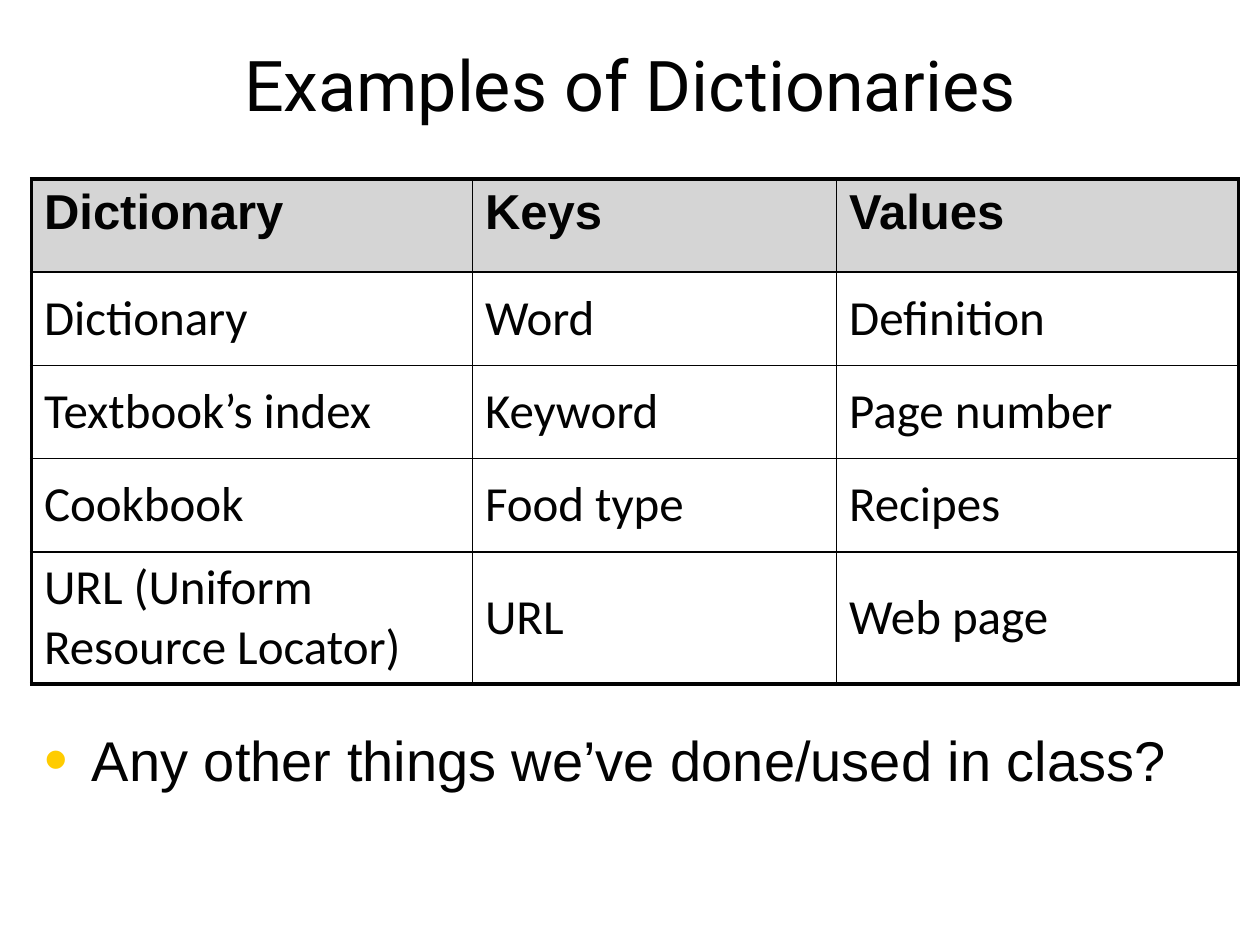
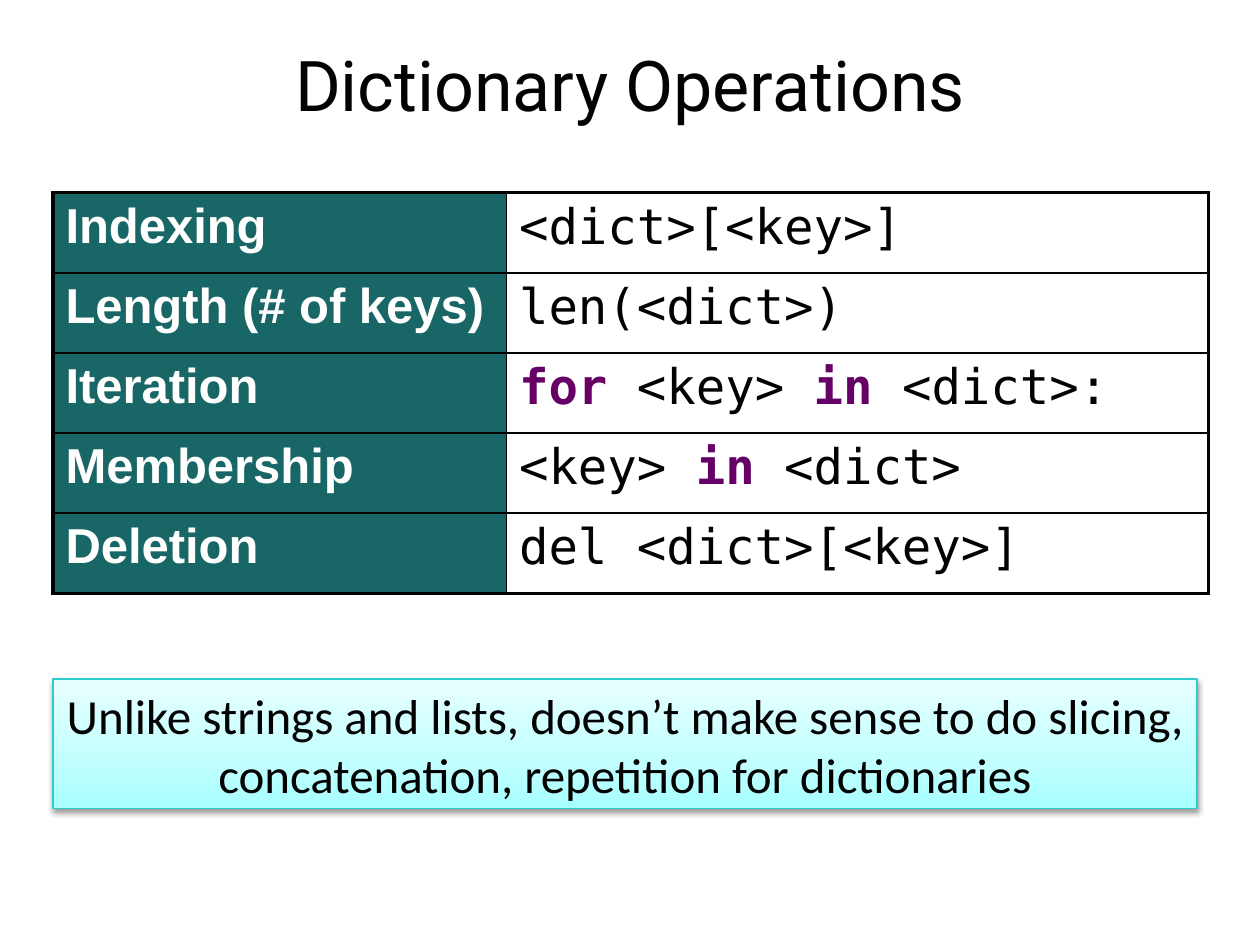
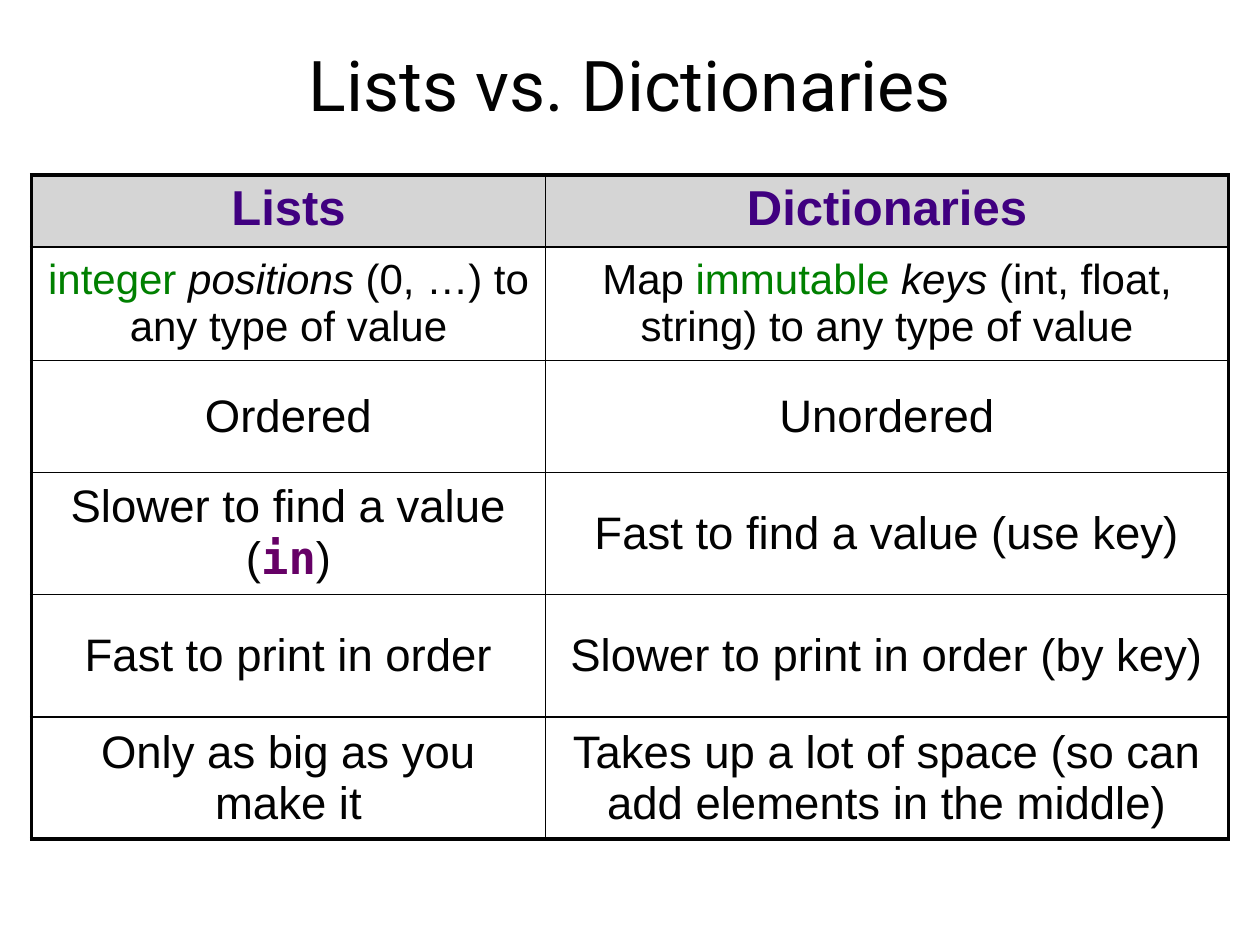
from lxml import etree
from pptx import Presentation
from pptx.dml.color import RGBColor
from pptx.enum.shapes import MSO_SHAPE
from pptx.enum.text import MSO_ANCHOR, MSO_AUTO_SIZE, PP_ALIGN
from pptx.oxml import parse_xml
from pptx.oxml.ns import nsdecls, qn
from pptx.util import Inches, Pt

TOP, MIDDLE = MSO_ANCHOR.TOP, MSO_ANCHOR.MIDDLE
LEFT, CENTER = PP_ALIGN.LEFT, PP_ALIGN.CENTER
RECTANGLE = MSO_SHAPE.RECTANGLE
NO_AUTOFIT = MSO_AUTO_SIZE.NONE

TITLE_AND_CONTENT, TITLE_ONLY = 1, 5
INK, WHITE, GRAY, TEAL = "020202", "FFFFFF", "D5D5D5", "196666"
PURPLE, INDIGO, GREEN, GOLD = "660066", "400080", "008000", "FFCC00"
SANS, HUMANIST, MONO, HEADING = "Arial", "Calibri", "DejaVu Sans Mono", "Roboto"
OUTER_LINE, INNER_LINE = 2.25, 1

STYLES = {
    "title": dict(name=HEADING, size=40, color=INK),
    "bullet": dict(name=SANS, size=32, color=INK),
    "header": dict(name=SANS, size=28, color=INK, bold=True),
    "entry": dict(name=HUMANIST, size=28, color=INK),
    "operation": dict(name=SANS, size=28, color=WHITE, bold=True),
    "code": dict(name=MONO, size=28, color=INK),
    "keyword": dict(name=MONO, size=28, color=PURPLE, bold=True),
    "versus": dict(name=SANS, size=28, color=INDIGO, bold=True),
    "mapping": dict(name=SANS, size=24, color=INK),
    "mapping key": dict(name=SANS, size=24, color=INK, italic=True),
    "mapping type": dict(name=SANS, size=24, color=GREEN),
    "trait": dict(name=SANS, size=26, color=INK),
    "trait keyword": dict(name=MONO, size=26, color=PURPLE, bold=True),
}


def rgb(value):
    """Turn a hex string into a colour."""
    return RGBColor.from_string(value)


class Deck:
    """Hold the presentation, its styles and the current slide."""

    def __init__(self):
        """Start an empty 10 by 7.5 inch presentation."""
        self.presentation = Presentation()
        self.presentation.slide_width = Inches(10)
        self.presentation.slide_height = Inches(7.5)
        self.slide = None

    def put_text(self, frame, content, style, align=LEFT):
        """Set a string, or (text, style) runs, as one paragraph."""
        paragraph = frame.paragraphs[0]
        paragraph.alignment = align
        runs = [(content, style)] if isinstance(content, str) else content
        for text, run_style in runs:
            run = paragraph.add_run()
            run.text = text
            looks = {"bold": False, "italic": False, **STYLES[run_style]}
            run.font.color.rgb = rgb(looks.pop("color"))
            looks["size"] = Pt(looks["size"])
            for attribute, value in looks.items():
                setattr(run.font, attribute, value)
        return paragraph

    def place(self, shape, left, top, width, height):
        """Move and size a placeholder."""
        box = dict(left=left, top=top, width=width, height=height)
        for attribute, value in box.items():
            setattr(shape, attribute, Inches(value))
        shape.text_frame.auto_size = NO_AUTOFIT

    def add_slide(self, title, layout=TITLE_ONLY):
        """Begin a white slide with a centred title."""
        layouts = self.presentation.slide_layouts
        self.slide = self.presentation.slides.add_slide(layouts[layout])
        heading = self.slide.shapes.title
        self.place(heading, 0.25, 0.08, 9.5, 1.17)
        heading.text_frame.vertical_anchor = MIDDLE
        self.put_text(heading.text_frame, title, "title", CENTER)

    def bullet(self, text, *box):
        """Put a gold-bulleted line in the body placeholder."""
        body = self.slide.placeholders[1]
        self.place(body, *box)
        line = self.put_text(body.text_frame, text, "bullet")
        line.space_before = Pt(0)
        properties = line._p.get_or_add_pPr()
        properties.set("marL", str(Inches(0.38)))
        properties.set("indent", str(Inches(-0.38)))
        color = etree.SubElement(properties, qn("a:buClr"))
        etree.SubElement(color, qn("a:srgbClr"), val=GOLD)
        etree.SubElement(properties, qn("a:buSzPct"), val="120000")
        etree.SubElement(properties, qn("a:buChar"), char="•")

    def border(self, cell, edges):
        """Draw the cell's borders: heavy on the table's edge, else thin."""
        properties = cell._tc.get_or_add_tcPr()
        for side, is_outer in edges.items():
            width = Pt(OUTER_LINE if is_outer else INNER_LINE)
            line = etree.SubElement(properties, qn("a:ln" + side), w=str(width))
            fill = etree.SubElement(line, qn("a:solidFill"))
            etree.SubElement(fill, qn("a:srgbClr"), val=INK)

    def table(self, left, top, widths, heights, rows, look):
        """Add a table; look(row, column) gives style, fill, anchor, align."""
        frame = self.slide.shapes.add_table(
            len(rows), len(widths), Inches(left), Inches(top),
            Inches(sum(widths)), Inches(sum(heights)))
        grid = frame.table
        grid.first_row = grid.horz_banding = False
        for column, width in zip(grid.columns, widths):
            column.width = Inches(width)
        for row, height in zip(grid.rows, heights):
            row.height = Inches(height)
        for r, contents in enumerate(rows):
            for c, content in enumerate(contents):
                cell = grid.cell(r, c)
                style, fill, anchor, align = look(r, c)
                self.border(cell, {"L": c == 0, "R": c == len(widths) - 1,
                                   "T": r == 0, "B": r == len(rows) - 1})
                if fill:
                    cell.fill.solid()
                    cell.fill.fore_color.rgb = rgb(fill)
                else:
                    cell.fill.background()
                cell.vertical_anchor = anchor
                self.put_text(cell.text_frame, content, style, align)

    def callout(self, text, left, top, width, height):
        """Add a cyan gradient box with a soft shadow."""
        box = self.slide.shapes.add_shape(
            RECTANGLE, Inches(left), Inches(top), Inches(width), Inches(height))
        box.line.color.rgb = rgb("2ECBCB")
        box.line.width = Pt(0.75)
        box.shadow.inherit = False
        stops = "".join(
            f'<a:gs pos="{percent * 1000}"><a:srgbClr val="{color}"/></a:gs>'
            for percent, color in ((0, "A7FFFF"), (35, "C1FFFF"), (100, "E7FFFF")))
        gradient = parse_xml(
            f'<a:gradFill {nsdecls("a")} rotWithShape="1"><a:gsLst>{stops}'
            '</a:gsLst><a:lin ang="16200000" scaled="0"/></a:gradFill>')
        properties = box._element.spPr
        properties.find(qn("a:prstGeom")).addnext(gradient)
        properties.find(qn("a:effectLst")).append(parse_xml(
            f'<a:outerShdw {nsdecls("a")} blurRad="{Pt(3.1)}" dist="{Pt(1.6)}" '
            'dir="5400000" rotWithShape="0"><a:srgbClr val="000000">'
            '<a:alpha val="38000"/></a:srgbClr></a:outerShdw>'))
        box.text_frame.word_wrap = True
        box.text_frame.vertical_anchor = TOP
        self.put_text(box.text_frame, text, "entry", CENTER)


def example_look(row, column):
    """Gray header row over middle-anchored entries."""
    return ("entry", None, MIDDLE, LEFT) if row else ("header", GRAY, TOP, LEFT)


def operation_look(row, column):
    """Teal operation names beside code."""
    return ("code", None, TOP, LEFT) if column else ("operation", TEAL, TOP, LEFT)


def versus_look(row, column):
    """Gray header row over centred traits."""
    return ("trait", None, MIDDLE, CENTER) if row else ("versus", GRAY, TOP, CENTER)


deck = Deck()

deck.add_slide("Examples of Dictionaries", TITLE_AND_CONTENT)
deck.table(0.25, 1.42, [3.5, 2.89, 3.19], [0.74] * 5, [
    ("Dictionary", "Keys", "Values"),
    ("Dictionary", "Word", "Definition"),
    ("Textbook’s index", "Keyword", "Page number"),
    ("Cookbook", "Food type", "Recipes"),
    ("URL (Uniform Resource Locator)", "URL", "Web page"),
], example_look)
deck.bullet("Any other things we’ve done/used in class?", 0.25, 5.71, 9.5, 1.29)

deck.add_slide("Dictionary Operations")
deck.table(0.42, 1.53, [3.6, 5.57], [3.18 / 5] * 5, [
    ("Indexing", "<dict>[<key>]"),
    ("Length (# of keys)", "len(<dict>)"),
    ("Iteration", [("for", "keyword"), (" <key> ", "code"),
                   ("in", "keyword"), (" <dict>:", "code")]),
    ("Membership", [("<key> ", "code"), ("in", "keyword"), (" <dict>", "code")]),
    ("Deletion", "del <dict>[<key>]"),
], operation_look)
deck.callout("Unlike strings and lists, doesn’t make sense to do slicing, "
             "concatenation, repetition for dictionaries", 0.42, 5.39, 9.08, 1.03)

deck.add_slide("Lists vs. Dictionaries")
deck.table(0.25, 1.39, [4.08, 5.42], [0.57, 0.9, 0.89] + [0.97] * 3, [
    ("Lists", "Dictionaries"),
    ([("integer ", "mapping type"), ("positions", "mapping key"),
      (" (0, …) to any type of value", "mapping")],
     [("Map ", "mapping"), ("immutable ", "mapping type"), ("keys", "mapping key"),
      (" (int, float, string) to any type of value", "mapping")]),
    ("Ordered", "Unordered"),
    ([("Slower to find a value (", "trait"), ("in", "trait keyword"), (")", "trait")],
     "Fast to find a value (use key)"),
    ("Fast to print in order", "Slower to print in order (by key)"),
    ("Only as big as you make it",
     "Takes up a lot of space (so can add elements in the middle)"),
], versus_look)

deck.presentation.save("out.pptx")
